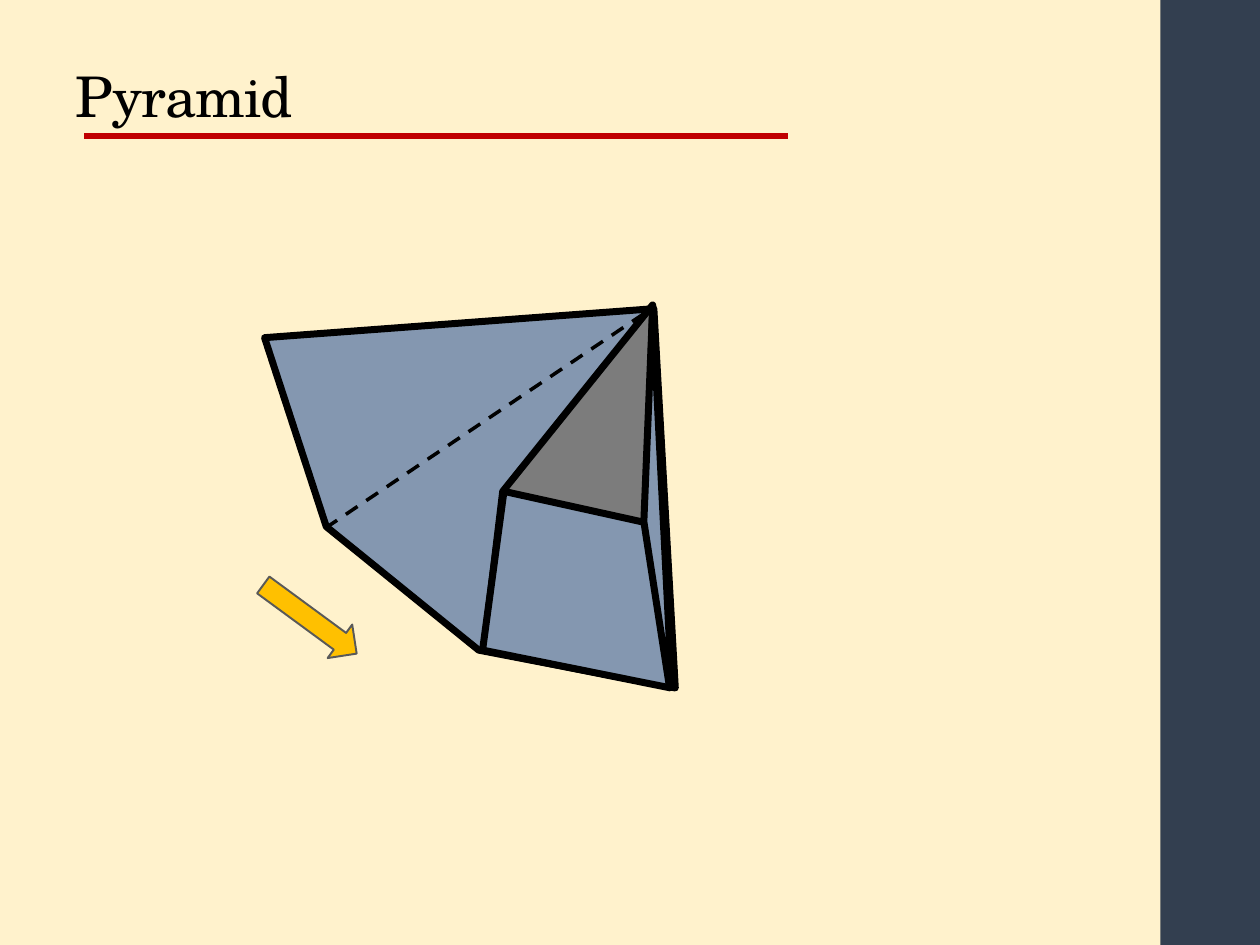
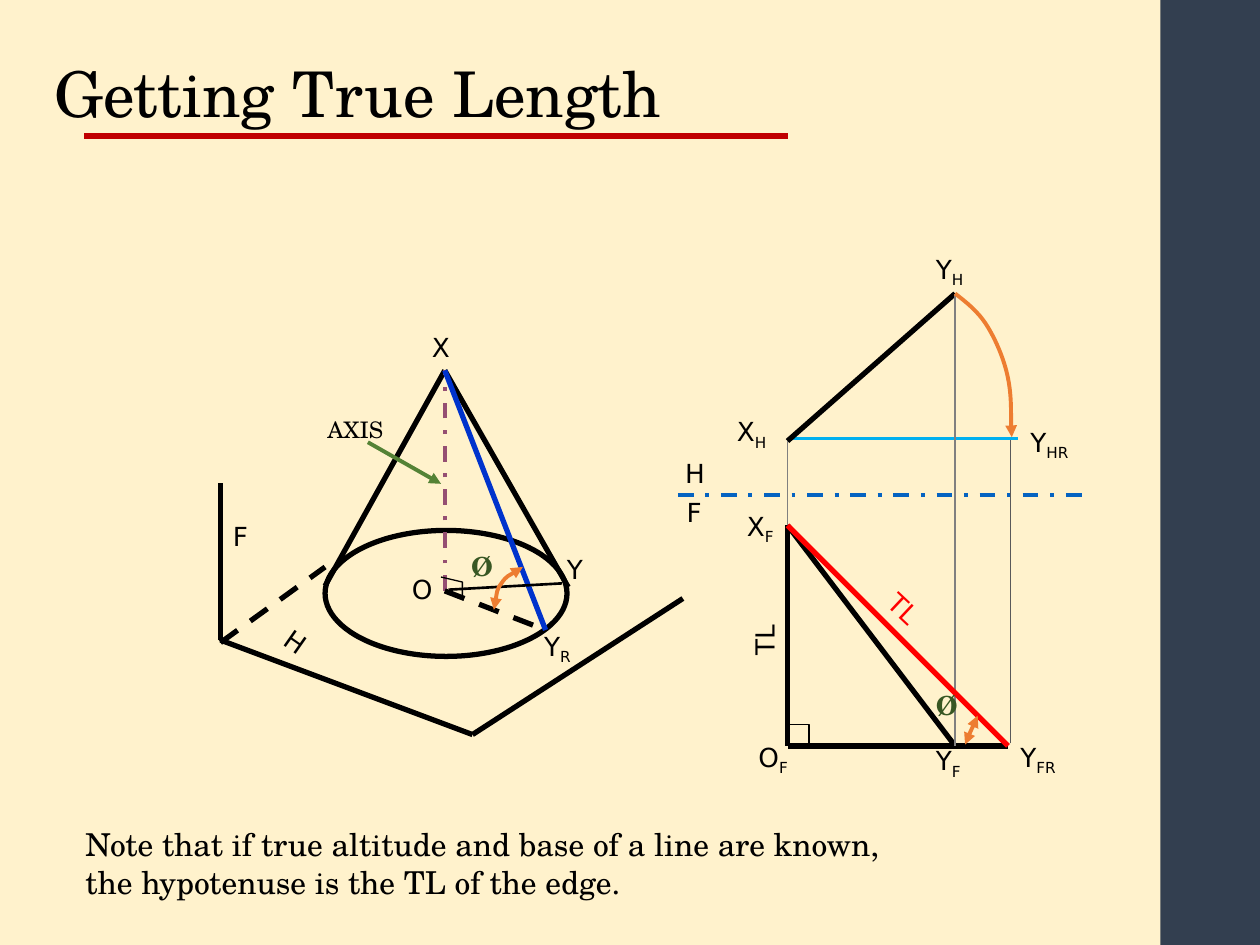
from lxml import etree
from pptx import Presentation
from pptx.dml.color import RGBColor
from pptx.enum import dml, shapes, text
from pptx.oxml.ns import qn
from pptx.util import Inches, Pt

COLORS = {
    "paper": "FFF2CC", "band": "333F50", "rule": "C00000", "ink": "000000",
    "face": "8497B0", "opening": "7C7C7C", "arrow": "FFC000", "dark_gray": "595959",
    "gray": "808080", "hinge": "0563C1", "axis": "954F72", "edge": "0033CC",
    "turned": "00B0F0", "rotation": "ED7D31", "pointer": "548235",
    "angle": "385723", "true_length": "FF0000",
}
SERIF, SANS = "TeX Gyre Schola", "DejaVu Sans"
DASH, DASH_DOT = dml.MSO_LINE.DASH, dml.MSO_LINE.DASH_DOT


def rgb(name):
    return RGBColor.from_string(COLORS[name])


def write(frame, content, size=15, font=SANS, color="ink", bold=False, spacing=None):
    """Fill a text frame; a newline starts a paragraph, "_" a subscript."""
    for number, row in enumerate(content.split("\n")):
        paragraph = frame.add_paragraph() if number else frame.paragraphs[0]
        paragraph.alignment = text.PP_ALIGN.LEFT
        for level, part in enumerate(row.split("_")):
            run = paragraph.add_run()
            run.text = part
            run.font.size, run.font.name, run.font.bold = Pt(size), font, bold
            run.font.color.rgb = rgb(color)
            properties = run._r.get_or_add_rPr()
            if level:
                properties.set("baseline", "-25000")
            if spacing:
                properties.set("spc", str(spacing))


class Region:
    """Draws on a slide, in inches from the region's top left corner."""

    def __init__(self, slide, left, top):
        self.shapes, self.left, self.top = slide.shapes, left, top

    def at(self, x, y):
        return Inches(self.left + x), Inches(self.top + y)

    def stroke(self, shape, color="ink", weight=3, dash=None, arrows=()):
        """Format an outline; arrows holds headEnd and/or tailEnd."""
        shape.line.color.rgb = rgb(color)
        shape.line.width = Pt(weight)
        if dash:
            shape.line.dash_style = dash
        for end in arrows:
            etree.SubElement(shape.line._get_or_add_ln(), qn(f"a:{end}"), type="triangle")

    def line(self, start, end, **style):
        connector = self.shapes.add_connector(
            shapes.MSO_CONNECTOR.STRAIGHT, *self.at(*start), *self.at(*end))
        self.stroke(connector, **style)
        etree.SubElement(connector.element.spPr, qn("a:effectLst"))
        return connector

    def outline(self, points, fill=None, **style):
        """Join the points; a filled outline is closed."""
        builder = self.shapes.build_freeform(*self.at(*points[0]))
        builder.add_line_segments([self.at(*p) for p in points[1:]], close=bool(fill))
        return self.finish(builder.convert_to_shape(), fill, **style)

    def curve(self, points, **style):
        """Draw cubic curves: a start, then two controls and an end for each."""
        shape = self.outline(points, **style)
        track = shape.element.find(".//" + qn("a:path"))
        steps = track.findall(qn("a:lnTo"))
        for first in range(0, len(steps), 3):
            bend = etree.SubElement(track, qn("a:cubicBezTo"))
            for step in steps[first:first + 3]:
                bend.append(step[0])
                track.remove(step)

    def preset(self, kind, x, y, width, height, fill=None, **style):
        shape = self.shapes.add_shape(kind, *self.at(x, y), Inches(width), Inches(height))
        return self.finish(shape, fill, **style)

    def finish(self, shape, fill, **style):
        shape.shadow.inherit = False
        if fill:
            shape.fill.solid()
            shape.fill.fore_color.rgb = rgb(fill)
        else:
            shape.fill.background()
        self.stroke(shape, **style)
        return shape

    def label(self, content, x, y, width=0.35, height=0.35, turn=0, **style):
        box = self.shapes.add_textbox(*self.at(x, y), Inches(width), Inches(height))
        box.rotation = turn
        box.text_frame.word_wrap = False
        box.text_frame.auto_size = text.MSO_AUTO_SIZE.SHAPE_TO_FIT_TEXT
        write(box.text_frame, content, **style)


def dress_master(prs, slide):
    """Give the master its background, side band and title rule."""
    master = prs.slide_master
    master.background.fill.solid()
    master.background.fill.fore_color.rgb = rgb("paper")
    page = Region(slide, 0, 0)
    band = page.preset(shapes.MSO_SHAPE.RECTANGLE, 9.21, 0, 0.8, 7.5, fill="band")
    band.line.fill.background()
    rule = page.line((0.67, 1.08), (6.25, 1.08), color="rule")
    for part in (band, rule):
        master.shapes.element.append(part.element)


def place_title(slide, content, left, top, width, height, line_spacing=1.0, **style):
    title = slide.shapes.title
    title.left, title.top = Inches(left), Inches(top)
    title.width, title.height = Inches(width), Inches(height)
    frame = title.text_frame
    frame.auto_size = text.MSO_AUTO_SIZE.NONE
    frame.vertical_anchor = text.MSO_ANCHOR.BOTTOM
    write(frame, content, font=SERIF, **style)
    frame.paragraphs[0].line_spacing = line_spacing


def draw_pyramid(slide, left, top):
    view = Region(slide, left, top)
    view.outline([(0.59, 1.76), (0.1, 0.26), (3.19, 0.03), (3.36, 3.04), (1.8, 2.74)],
                 fill="face", weight=4)
    for start, end in [((3.11, 0.07), (0.6, 1.76)), ((3.16, 0.01), (1.83, 2.73)),
                       ((3.16, 0.03), (3.34, 3.01))]:
        view.line(start, end, weight=2, dash=DASH)
    for fill, points in [
        ("opening", [(3.34, 2.99), (3.18, 0), (1.99, 1.48), (1.84, 2.73)]),
        (None, [(3.13, 1.74), (3.18, 0)]),
        ("face", [(3.13, 1.73), (2, 1.48), (1.83, 2.74), (3.32, 3.04)]),
        ("face", [(3.18, 0.03), (3.11, 1.72), (3.31, 3.01), (3.33, 3.02)]),
    ]:
        view.outline(points, fill=fill, weight=4)
    unfolding = view.preset(shapes.MSO_SHAPE.RIGHT_ARROW, 0, 2.33, 0.92, 0.33,
                            fill="arrow", color="dark_gray", weight=1.1)
    unfolding.rotation = 36.3


def draw_cone(slide, left, top):
    """Pictorial view of the cone that the edge XY sweeps out."""
    view = Region(slide, left, top)
    apex, center, y_turned = (1.78, 0.36), (1.78, 2.11), (2.58, 2.42)
    corner, near_corner = (0, 2.5), (2, 3.25)
    view.preset(shapes.MSO_SHAPE.OVAL, 0.83, 1.63, 1.92, 1)
    for side in [(0.83, 2.07), (2.76, 2.08)]:
        view.line(side, apex)
    view.line(corner, near_corner)
    view.line(near_corner, (3.67, 2.17))
    view.line(corner, (0, 1.25))
    view.line((0, 2.52), (0.83, 1.92), dash=DASH)
    view.line(center, apex, color="axis", weight=2.25, dash=DASH_DOT)
    view.line(center, y_turned, dash=DASH)
    view.line(y_turned, apex, color="edge")
    view.line((1.81, 2.1), (2.71, 2.05), weight=1.5)
    view.outline([(1.75, 2), (1.92, 2.04), (1.92, 2.17)], weight=0.75)
    view.curve([(2.17, 2.26), (2.18, 2.22), (2.19, 2.1), (2.23, 2.05),
                (2.27, 1.99), (2.36, 1.95), (2.4, 1.92)],
               color="rotation", weight=2.25, arrows=("headEnd", "tailEnd"))
    view.line((1.17, 0.93), (1.75, 1.26), color="pointer", weight=2.25, arrows=["tailEnd"])
    view.label("AXIS", 0.75, 0.67, 0.67, size=13, font=SERIF)
    view.label("Ø", 1.89, 1.74, font=SERIF, color="angle", bold=True)
    view.label("H", 0.42, 2.34, 0.36, turn=35)
    for name, x, y, width in [("F", 0, 1.5, 0.32), ("Y_R", 2.47, 2.37, 0.43),
                              ("Y", 2.65, 1.76, 0.33), ("X", 1.58, 0, 0.34),
                              ("O", 1.42, 1.92, 0.37)]:
        view.label(name, x, y, width)


def draw_projections(slide, left, top):
    """Top view above the hinge line, front view with the true length below."""
    view = Region(slide, left, top)
    x_h, y_h = (1, 1.75), (2.33, 0.58)
    x_f, o_f, y_f, y_fr = (1, 2.42), (1, 4.17), (2.33, 4.17), (2.75, 4.17)
    view.line((0.13, 2.18), (3.37, 2.18), color="hinge", weight=2.25, dash=DASH_DOT)
    view.line((1, 1.73), (2.83, 1.73), color="turned", weight=1.5)
    for start, end in [(x_f, o_f), (o_f, y_fr), (y_f, x_f), (x_h, y_h)]:
        view.line(start, end)
    for start, end, color in [((2.77, 4.15), (2.77, 1.74), "dark_gray"),
                              (x_f, x_h, "gray"), (y_f, y_h, "gray")]:
        view.line(start, end, color=color, weight=0.75)
    view.outline([(1, 4), (1.17, 4), (1.17, 4.17)], weight=0.75)
    view.line(y_fr, x_f, color="true_length")
    view.curve([y_h, (2.42, 0.65), (2.51, 0.72), (2.58, 0.83),
                (2.65, 0.94), (2.72, 1.1), (2.75, 1.25),
                (2.78, 1.4), (2.77, 1.62), (2.78, 1.72)],
               color="rotation", weight=2.25, arrows=["tailEnd"])
    view.curve([(2.41, 4.16), (2.42, 4.13), (2.46, 4.04), (2.48, 4),
                (2.49, 3.97), (2.5, 3.95), (2.51, 3.93)],
               color="rotation", weight=2.25, arrows=("headEnd", "tailEnd"))
    view.label("Ø", 2.08, 3.67, font=SERIF, color="angle", bold=True)
    view.label("TL", 1.7, 2.91, 0.45, turn=43.3, color="true_length")
    view.label("TL", 0.59, 3.15, 0.45, turn=270)
    for name, x, y, width in [
        ("H", 0.09, 1.83, 0.36), ("F", 0.1, 2.14, 0.32), ("X_H", 0.5, 1.5, 0.45),
        ("Y_H", 2.08, 0.21, 0.43), ("Y_HR", 2.83, 1.58, 0.53), ("X_F", 0.58, 2.25, 0.42),
        ("O_F", 0.67, 4.08, 0.45), ("Y_F", 2.08, 4.11, 0.41), ("Y_FR", 2.75, 4.08, 0.51),
    ]:
        view.label(name, x, y, width)


def main():
    prs = Presentation()
    prs.slide_width, prs.slide_height = Inches(10), Inches(7.5)
    title_only = prs.slide_layouts[5]

    pyramid = prs.slides.add_slide(title_only)
    dress_master(prs, pyramid)
    place_title(pyramid, "Pyramid", 0.5, 0.08, 7.95, 1, line_spacing=0.9,
                size=32, spacing=-50)
    draw_pyramid(pyramid, 2, 2.42)

    true_length = prs.slides.add_slide(title_only)
    place_title(true_length, "Getting True Length", 0.33, 0.33, 9.33, 0.75, size=36)
    draw_cone(true_length, 1.75, 2.58)
    draw_projections(true_length, 5.25, 1.75)
    Region(true_length, 0.58, 6.5).label(
        "Note that if true altitude and base of a line are known,\n"
        "the hypotenuse is the TL of the edge.", 0, 0, 6.65, 0.71, size=18, font=SERIF)

    prs.save("out.pptx")


if __name__ == "__main__":
    main()
